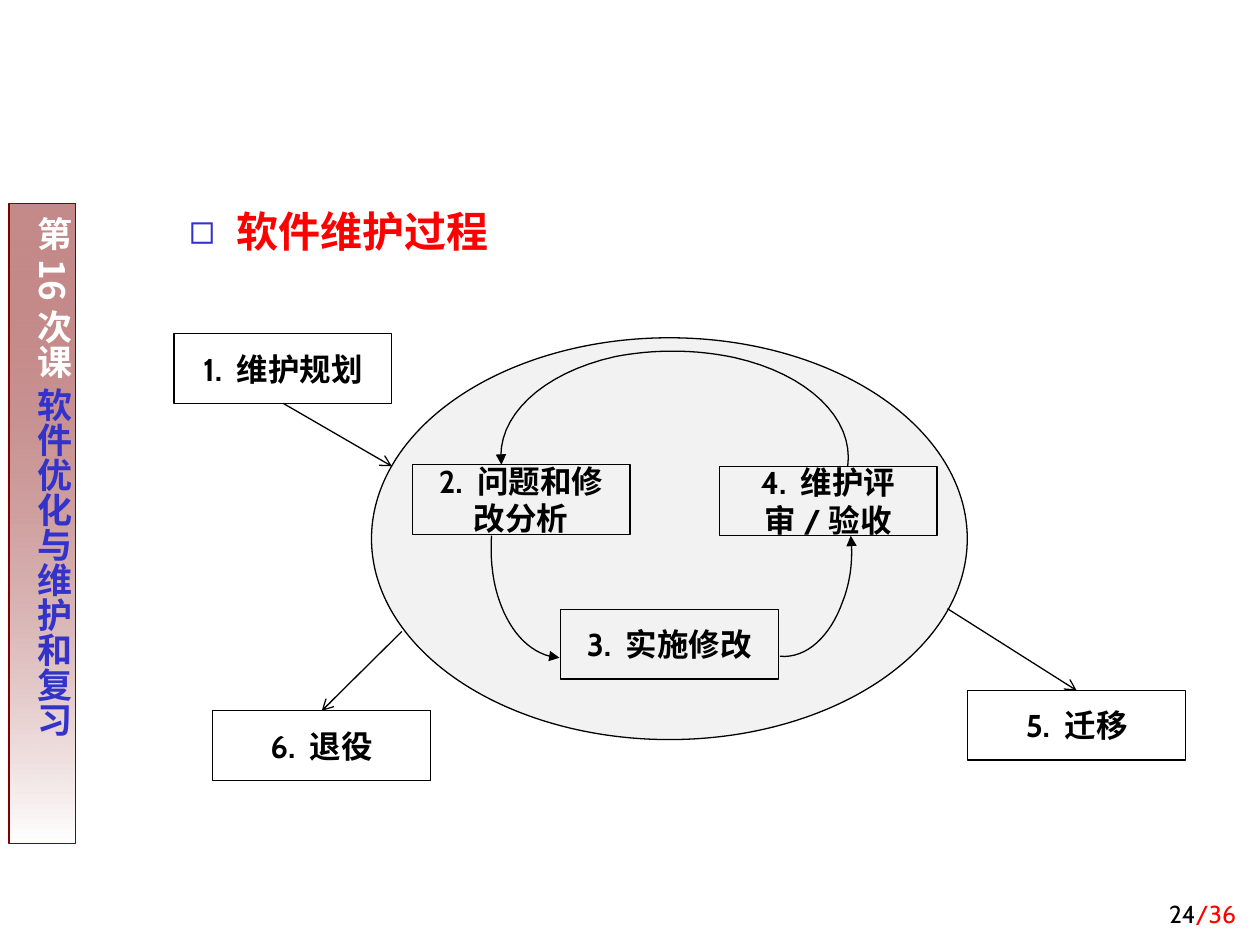
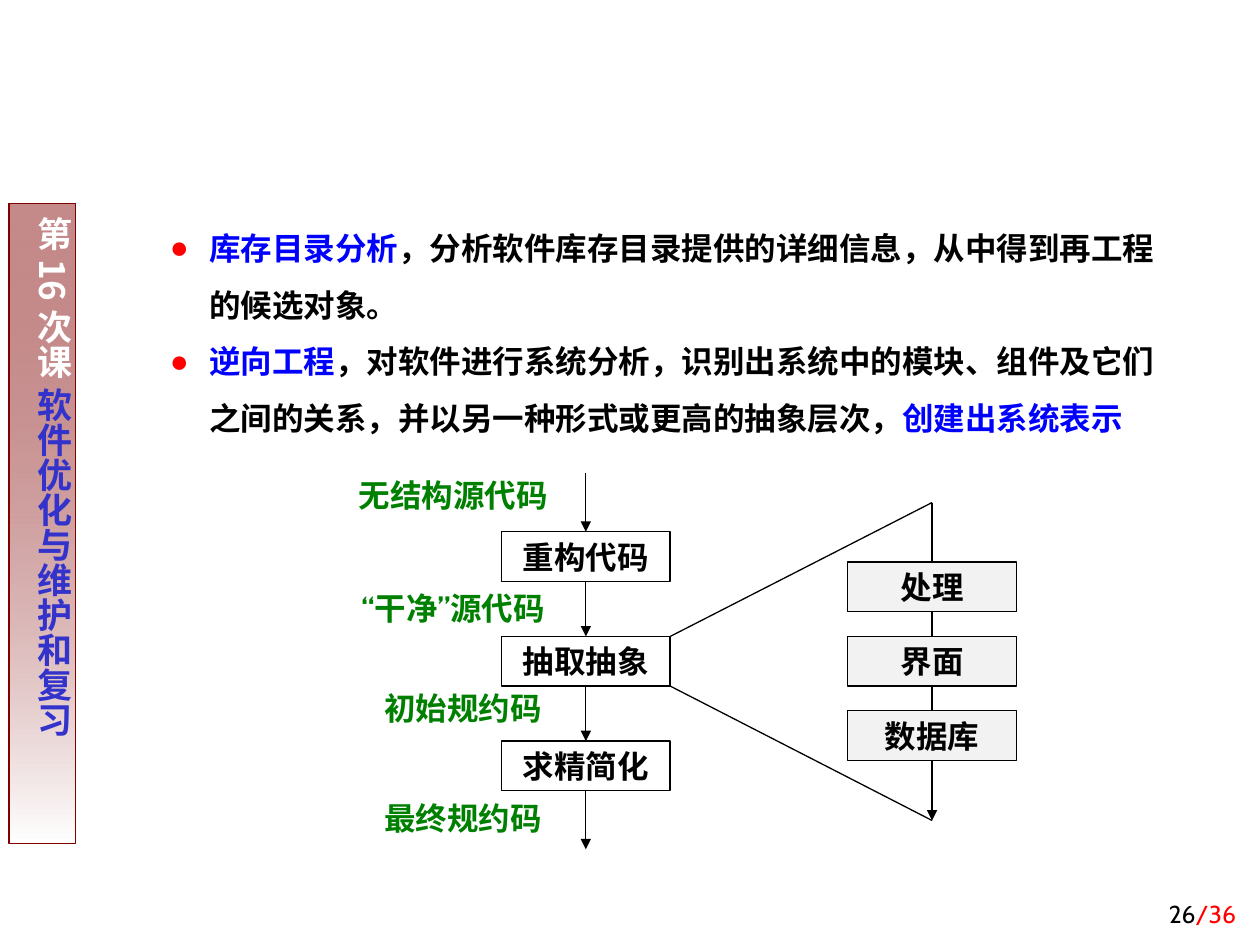
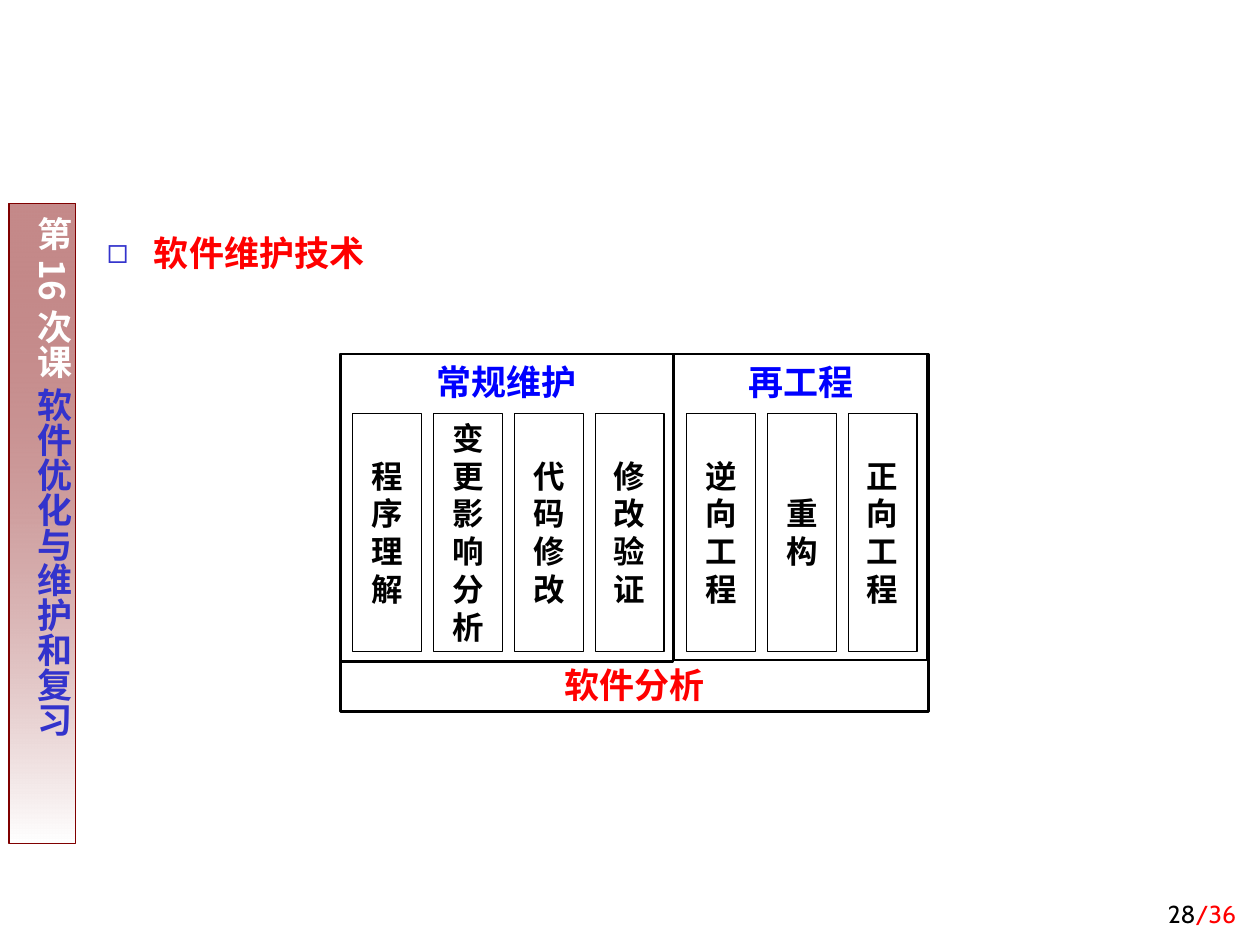
from dataclasses import dataclass
from pptx import Presentation
from pptx import util as u
from pptx.dml.color import RGBColor
from pptx.enum import shapes as sh, text as tx
from pptx.oxml import ns
from lxml import etree


@dataclass(frozen=True)
class Theme:
    black: str = "000000"
    white: str = "FFFFFF"
    red: str = "FF0000"
    blue: str = "0000FF"
    navy: str = "3333CC"
    green: str = "008000"
    wine: str = "800000"
    gray: str = "F2F2F2"
    face: str = "Cabin"
    serif: str = "Times New Roman"
    side: str = "Noto Sans CJK SC"
    big: int = 24
    head: int = 20
    body: int = 18
    foot: int = 14
    thin: float = 0.75
    bold: float = 1.5


T = Theme()
Cm, Pt = u.Cm, u.Pt
MID, LOW, TOP = tx.MSO_ANCHOR.MIDDLE, tx.MSO_ANCHOR.BOTTOM, tx.MSO_ANCHOR.TOP

# Content: text runs are (text, colour), lengths are centimetres
BAND = [("第16次课 ", T.white), ("软件优化与维护和复习", T.navy)]
TOTAL = "/36"

CYCLE = [("软件维护过程", T.red)]
STEPS = {
    1: ("1. 维护规划", 3.51, 6.73),
    2: ("2. 问题和修改分析", 8.31, 9.37),
    3: ("3. 实施修改", 11.3, 12.29),
    4: ("4. 维护评审/验收", 14.5, 9.4),
    5: ("5. 迁移", 19.51, 13.92),
    6: ("6. 退役", 4.29, 14.33),
}
# Each arc: start point, then Bézier triples
ARCS = [
    [(9.91, 10.8), (9.88, 11.25), (9.93, 11.71), (10.06, 12.09),
     (10.29, 12.78), (10.74, 13.23), (11.28, 13.26)],
    [(15.72, 13.23), (16.26, 13.28), (16.74, 12.83), (16.99, 12.12),
     (17.15, 11.71), (17.2, 11.25), (17.15, 10.8)],
    [(17.09, 9.4), (17.22, 8.43), (16.28, 7.54), (14.81, 7.21),
     (14.02, 7.04), (13.18, 7.04), (12.4, 7.19),
     (10.92, 7.52), (9.98, 8.41), (10.11, 9.37)],
]

POINTS = [
    [("库存目录分析", T.blue),
     ("，分析软件库存目录提供的详细信息，从中得到再工程的候选对象。", T.black)],
    [("逆向工程", T.blue),
     ("，对软件进行系统分析，识别出系统中的模块、组件及它们之间的关系，"
      "并以另一种形式或更高的抽象层次，", T.black),
     ("创建出系统表示", T.blue)],
]
FLOW = ["重构代码", "抽取抽象", "求精简化"]
PARTS = ["处理", "界面", "数据库"]
CODES = [("无结构源代码", 6.71, 9.53), ("“干净”源代码", 6.71, 11.81),
         ("初始规约码", 6.91, 13.82), ("最终规约码", 6.91, 16.03)]

SKILLS = [("软件维护技术", T.red)]
GROUPS = [
    ("常规维护", 13.59, (6.86, 7.14, 6.71, 6.2),
     ["程序理解", "变更影响分析", "代码修改", "修改验证"]),
    ("再工程", 13.59, (13.59, 7.14, 5.11, 6.17), ["逆向工程", "重构", "正向工程"]),
]
BASE = ("软件分析", (6.86, 7.14, 11.86, 7.21))


# Helpers
def rgb(code):
    return RGBColor.from_string(code)


def add(node, tag, **attrs):
    return etree.SubElement(node, ns.qn(tag), attrs)


def write(shape, paras, size=T.body, face=T.face, east=T.face, bold=True,
          align=tx.PP_ALIGN.CENTER, anchor=MID, space=None, mark=None):
    """Fill a shape with paragraphs, each a list of (text, colour) runs."""
    frame = shape.text_frame
    frame.word_wrap = True
    frame.auto_size = tx.MSO_AUTO_SIZE.NONE
    frame.vertical_anchor = anchor
    for i, runs in enumerate(paras):
        para = frame.add_paragraph() if i else frame.paragraphs[0]
        para.alignment = align
        para.space_before = Pt(0)
        if space:
            para.line_spacing = space
        if mark:
            bullet(para, *mark)
        for words, color in runs:
            run = para.add_run()
            run.text = words
            font = run.font
            font.size, font.bold, font.name = Pt(size), bold, face
            font.color.rgb = rgb(color)
            props = run._r.get_or_add_rPr()
            props.set("lang", "zh-CN")
            add(props, "a:ea", typeface=east)


def bullet(para, char, color, level, left, hang):
    para.level = level
    props = para._p.get_or_add_pPr()
    props.set("marL", str(Cm(left)))
    props.set("indent", str(-Cm(hang)))
    add(add(props, "a:buClr"), "a:srgbClr", val=color)
    add(props, "a:buChar", char=char)


def draw(slide, at, kind=sh.MSO_SHAPE.RECTANGLE, fill=None, line=T.black,
         width=T.thin):
    shape = slide.shapes.add_shape(kind, *map(Cm, at))
    shape.shadow.inherit = False
    if fill:
        shape.fill.solid()
        shape.fill.fore_color.rgb = rgb(fill)
    else:
        shape.fill.background()
    shape.line.color.rgb = rgb(line)
    shape.line.width = Pt(width)
    return shape


def box(slide, words, at, fill=None, **style):
    shape = draw(slide, at, fill=fill)
    write(shape, [[(words, T.black)]], **style)
    return shape


def label(slide, runs, at, **style):
    write(slide.shapes.add_textbox(*map(Cm, at)), [runs], **style)


def tip(shape, kind):
    add(shape.line._get_or_add_ln(), "a:tailEnd", type=kind)


def link(slide, start, end, head=None):
    """Join two ends; an end is a point or a (shape, side) pair."""
    loose = [(0, 0) if hasattr(e[0], "shape_id") else e for e in (start, end)]
    line = slide.shapes.add_connector(
        sh.MSO_CONNECTOR.STRAIGHT, *[Cm(v) for e in loose for v in e])
    for e, join in ((start, line.begin_connect), (end, line.end_connect)):
        if hasattr(e[0], "shape_id"):
            join(*e)
    line.line.color.rgb = rgb(T.black)
    line.line.width = Pt(T.thin)
    add(line._element.spPr, "a:effectLst")
    if head:
        tip(line, head)


def arc(slide, pts, cuts=16):
    """Trace joined Bézier curves as one open outline with an arrowhead."""
    path = []
    for i in range(0, len(pts) - 1, 3):
        for n in range(1, cuts + 1):
            t = n / cuts
            mix = ((1 - t) ** 3, 3 * t * (1 - t) ** 2, 3 * t * t * (1 - t), t ** 3)
            path.append(tuple(
                Cm(sum(m * p[k] for m, p in zip(mix, pts[i:i + 4])))
                for k in (0, 1)))
    pen = slide.shapes.build_freeform(*map(Cm, pts[0]))
    pen.add_line_segments(path, close=False)
    shape = pen.convert_to_shape()
    shape.shadow.inherit = False
    shape.fill.background()
    shape.line.color.rgb = rgb(T.black)
    shape.line.width = Pt(T.thin)
    tip(shape, "triangle")


# Shared parts
def band(slide, layout):
    """Draw the side band once and hand it to the layout."""
    shape = draw(slide, (0.18, 4.11, 1.35, 12.9), line=T.wine)
    shape.fill.gradient()
    shape.fill.gradient_angle = 270
    for stop, color in zip(shape.fill.gradient_stops, (T.wine, T.white)):
        stop.color.rgb = rgb(color)
    first = shape._element.spPr.find(".//" + ns.qn("a:gs"))
    add(first[0], "a:alpha", val="46000")
    write(shape, [BAND], size=T.head, face=T.side, east=T.side, anchor=TOP)
    frame = shape.text_frame
    frame.margin_left, frame.margin_right = Cm(0.13), Cm(0.03)
    frame.margin_top = frame.margin_bottom = Cm(0.25)
    frame._txBody.bodyPr.set("vert", "eaVert")
    layout.shapes.element.append(shape.element)


def start(prs, number, paras, at, size, mark):
    slide = prs.slides.add_slide(prs.slide_layouts[1])
    title = slide.shapes.title.element
    title.getparent().remove(title)
    body = slide.placeholders[1]
    body.left, body.top, body.width, body.height = map(Cm, at)
    write(body, paras, size=size, face=T.serif, align=tx.PP_ALIGN.LEFT,
          anchor=TOP, space=1.5, mark=mark)
    label(slide, [(str(number), T.black), (TOTAL, T.red)],
          (19.89, 17.58, 5.28, 1.27), size=T.foot, bold=False,
          align=tx.PP_ALIGN.RIGHT, anchor=LOW)
    return slide


SQUARE = ("◻", T.navy, 0, 0.95, 0.95)
DOT = ("●", T.red, 1, 2.06, 0.79)


# Slide: maintenance process
def cycle(prs):
    slide = start(prs, 24, [CYCLE], (3.56, 3.51, 20.55, 2.01), T.big, SQUARE)
    draw(slide, (7.49, 6.81, 12.01, 8.1), sh.MSO_SHAPE.OVAL, T.gray)
    step = {n: box(slide, words, (x, y, 4.39, 1.4))
            for n, (words, x, y) in STEPS.items()}
    link(slide, (19.1, 12.27), (step[5], 0), "arrow")
    link(slide, (step[1], 2), (7.9, 9.4), "arrow")
    link(slide, (8.1, 12.73), (step[6], 0), "arrow")
    for pts in ARCS:
        arc(slide, pts)
    return slide


# Slide: reverse engineering
def reverse(prs):
    slide = start(prs, 26, POINTS, (1.9, 4.11, 22.2, 5.41), T.body, DOT)
    wide, high = 3.4, 1
    left, top, gap = 10.11, 10.72, 2.11
    mid, edge, far = left + wide / 2, left + wide, 18.79
    peak, foot = 10.13, 16.54
    link(slide, (far, peak), (far, foot), "triangle")
    flow = [box(slide, words, (left, top + i * gap, wide, high))
            for i, words in enumerate(FLOW)]
    for i, words in enumerate(PARTS):
        box(slide, words, (far - wide / 2, 11.33 + i * 1.5, wide, high), T.gray)
    ends = [(mid, 9.53)] + flow + [(mid, 17.12)]
    for a, b in zip(ends, ends[1:]):
        link(slide, (a, 2) if a in flow else a, (b, 0) if b in flow else b,
             "triangle")
    link(slide, (edge, top + gap), (far, peak))
    link(slide, (edge, top + gap + high), (far, foot))
    for words, x, y in CODES:
        label(slide, [(words, T.green)], (x, y, 4.85, 0.91))


# Slide: maintenance techniques
def skills(prs):
    slide = start(prs, 28, [SKILLS], (1.9, 4.11, 22.2, 1.63), T.head, SQUARE)
    frames = []
    for name, _, at, items in GROUPS:
        for i, words in enumerate(items):
            box(slide, words, (at[0] + 0.25 + i * 1.63, 8.33, 1.39, 4.8))
        frames.append((name, at, T.blue, TOP))
    frames.append((*BASE, T.red, LOW))
    for name, at, color, anchor in frames:
        write(draw(slide, at, width=T.bold), [[(name, color)]],
              size=T.head, anchor=anchor)


def main():
    prs = Presentation()
    prs.slide_width, prs.slide_height = Cm(25.4), Cm(19.05)
    band(cycle(prs), prs.slide_layouts[1])
    reverse(prs)
    skills(prs)
    prs.save("out.pptx")


if __name__ == "__main__":
    main()
